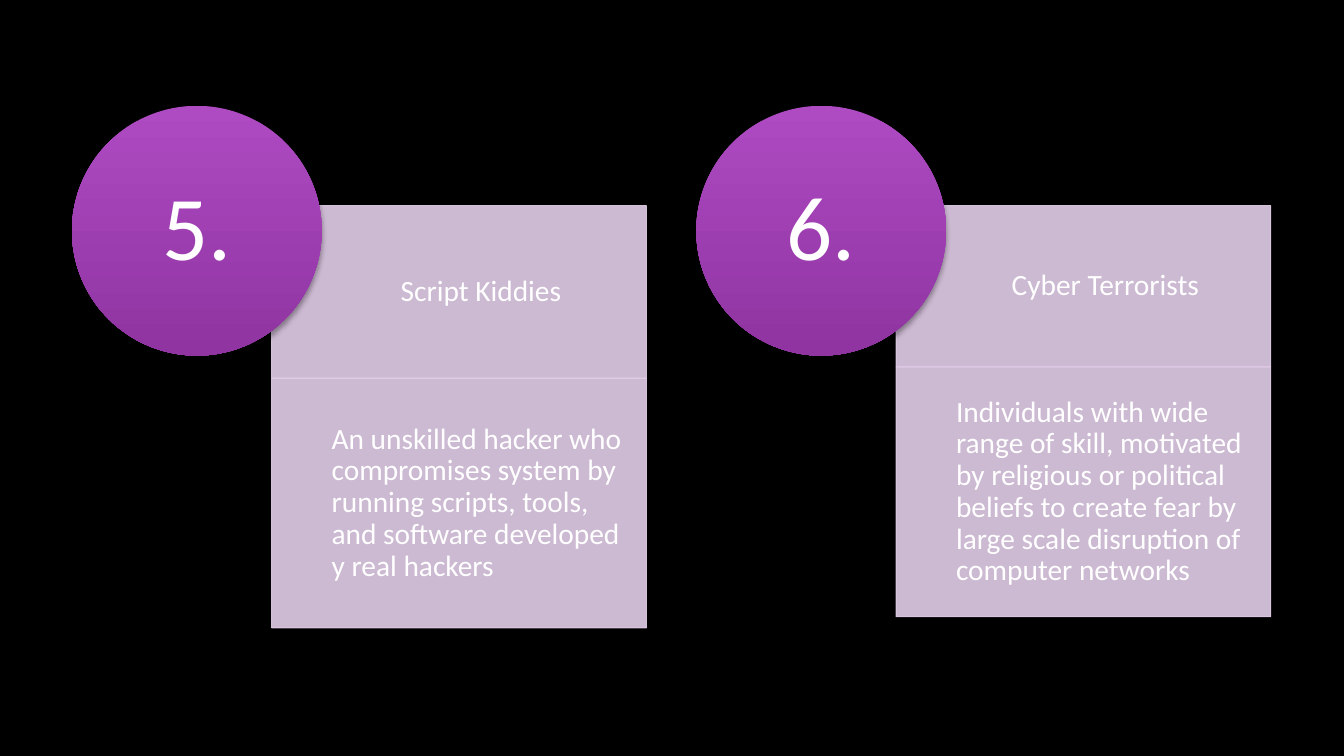
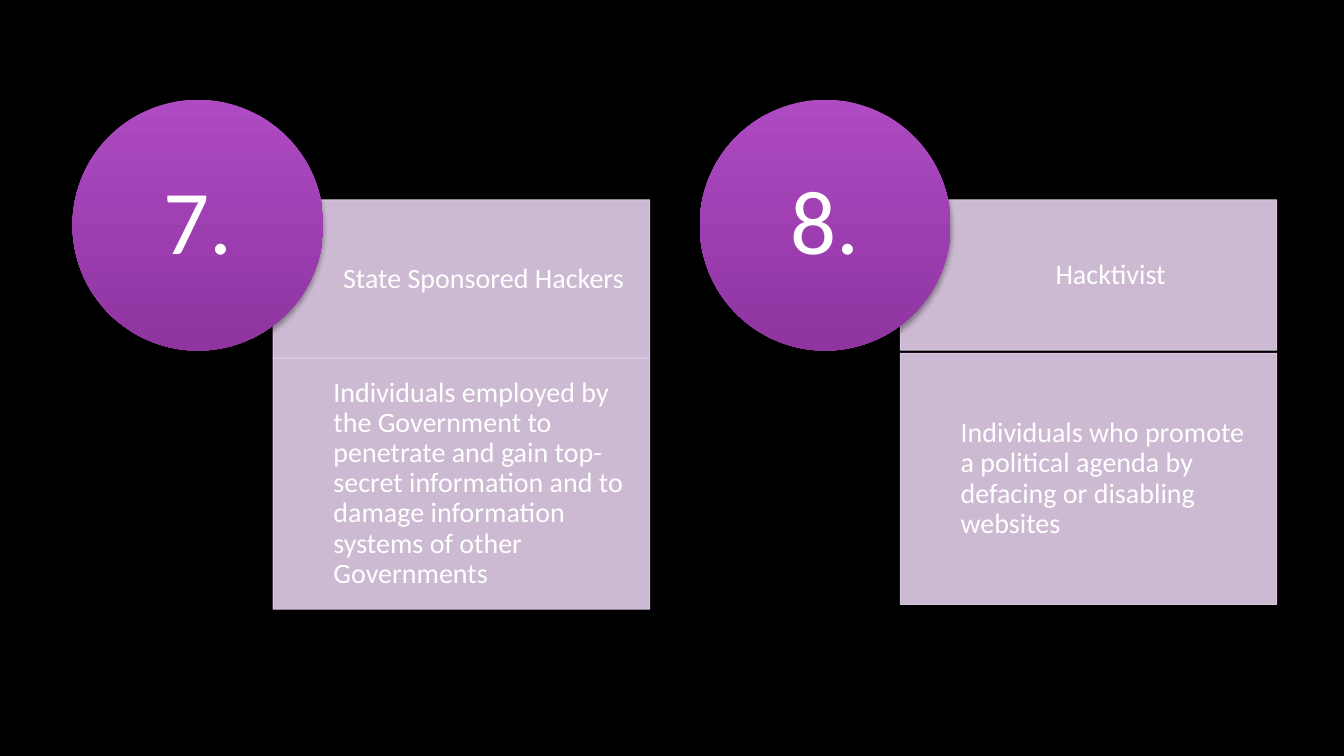
from dataclasses import dataclass

from lxml import etree
from pptx import Presentation
from pptx.dml.color import RGBColor
from pptx.enum.shapes import MSO_SHAPE
from pptx.enum.text import MSO_ANCHOR, PP_ALIGN
from pptx.oxml.ns import qn
from pptx.shapes.autoshape import Shape
from pptx.slide import Slide
from pptx.util import Pt

RECT, OVAL = MSO_SHAPE.RECTANGLE, MSO_SHAPE.OVAL
MIDDLE = MSO_ANCHOR.MIDDLE
LEFT, CENTER = PP_ALIGN.LEFT, PP_ALIGN.CENTER

BLACK = RGBColor(0x00, 0x00, 0x00)
WHITE = RGBColor(0xFF, 0xFF, 0xFF)
LILAC = RGBColor(0xE3, 0xCE, 0xE9)
ORCHID = RGBColor(0xAE, 0x4A, 0xC2)
PLUM = RGBColor(0x8F, 0x34, 0xA1)

FONT = "Calibri"
NUMBER_SIZE = 65
PAD = 11.5


@dataclass
class Card:
    number: str
    title: str
    text: str
    head: float  # height of the title box
    gap: float = 0


@dataclass
class Page:
    left: float
    top: float
    disc: float  # diameter, from which the other sizes follow
    size: int
    cards: list[Card]


PAGES = [
    Page(51.4, 75.6, 178.4, 21, [
        Card("5.", "Script Kiddies",
             "An unskilled hacker who compromises system by running scripts, "
             "tools, and software developed y real hackers", 123.2),
        Card("6.", "Cyber Terrorists",
             "Individuals with wide range of skill, motivated by religious or "
             "political beliefs to create fear by large scale disruption of "
             "computer networks", 115.2),
    ]),
    Page(51.8, 71.2, 179.2, 20, [
        Card("7.", "State Sponsored Hackers",
             "Individuals employed by the Government to penetrate and gain "
             "top-secret information and to damage information systems of "
             "other Governments", 113),
        Card("8.", "Hacktivist",
             "Individuals who promote a political agenda by defacing or "
             "disabling websites", 107.2, 2.4),
    ]),
]


def add_alpha(color: etree._Element, percent: int) -> None:
    etree.SubElement(color, qn("a:alpha"), val=str(percent * 1000))


def add_shadow(shape: Shape) -> None:
    shape.shadow.inherit = False
    effects = shape.element.spPr.find(qn("a:effectLst"))
    outer = etree.SubElement(
        effects, qn("a:outerShdw"), blurRad=str(Pt(4)), dist=str(Pt(3)),
        dir="5400000", algn="ctr", rotWithShape="0")
    add_alpha(etree.SubElement(outer, qn("a:srgbClr"), val=str(BLACK)), 35)


def set_text(shape: Shape, text: str, size: int, align: PP_ALIGN,
             indent: float = 0, pad: float = 0) -> None:
    frame = shape.text_frame
    frame.word_wrap = True
    frame.vertical_anchor = MIDDLE
    frame.margin_left = Pt(indent)
    frame.margin_top = frame.margin_right = frame.margin_bottom = Pt(pad)
    line = frame.paragraphs[0]
    line.text = text
    line.alignment = align
    line.line_spacing = 0.9
    line.font.name = FONT
    line.font.size = Pt(size)
    line.font.color.rgb = WHITE


def add_panel(slide: Slide, left: float, top: float, width: float,
              height: float) -> Shape:
    """Add a translucent lilac box."""
    panel = slide.shapes.add_shape(RECT, Pt(left), Pt(top), Pt(width), Pt(height))
    for fill in (panel.fill, panel.line.fill):
        fill.solid()
        fill.fore_color.rgb = LILAC
    panel.line.width = Pt(0.75)
    for color in list(panel.element.spPr.iter(qn("a:srgbClr"))):
        add_alpha(color, 90)
    add_shadow(panel)
    return panel


def add_disc(slide: Slide, left: float, top: float, size: float) -> Shape:
    disc = slide.shapes.add_shape(OVAL, Pt(left), Pt(top), Pt(size), Pt(size))
    disc.fill.gradient()
    disc.fill.gradient_angle = 270
    for stop, color in zip(disc.fill.gradient_stops, (ORCHID, PLUM)):
        stop.color.rgb = color
    disc.line.fill.background()
    add_shadow(disc)
    return disc


def add_card(slide: Slide, page: Page, card: Card, left: float) -> None:
    disc = page.disc
    edge, top = left + 0.8 * disc, page.top + 0.4 * disc
    width, indent = 1.5 * disc, 0.24 * disc
    head = add_panel(slide, edge, top, width, card.head)
    set_text(head, card.title, page.size, CENTER, indent, PAD)
    body = add_panel(slide, edge, top + card.head + card.gap, width, disc)
    set_text(body, card.text, page.size, LEFT, indent, PAD)
    badge = add_disc(slide, left, page.top, disc)
    set_text(badge, card.number, NUMBER_SIZE, CENTER)


def main() -> None:
    deck = Presentation()
    deck.slide_width, deck.slide_height = Pt(960), Pt(540)
    blank = deck.slide_layouts[6]
    for page in PAGES:
        slide = deck.slides.add_slide(blank)
        slide.background.fill.solid()
        slide.background.fill.fore_color.rgb = BLACK
        for index, card in enumerate(page.cards):
            add_card(slide, page, card, page.left + index * 2.5 * page.disc)
    deck.save("out.pptx")


if __name__ == "__main__":
    main()
